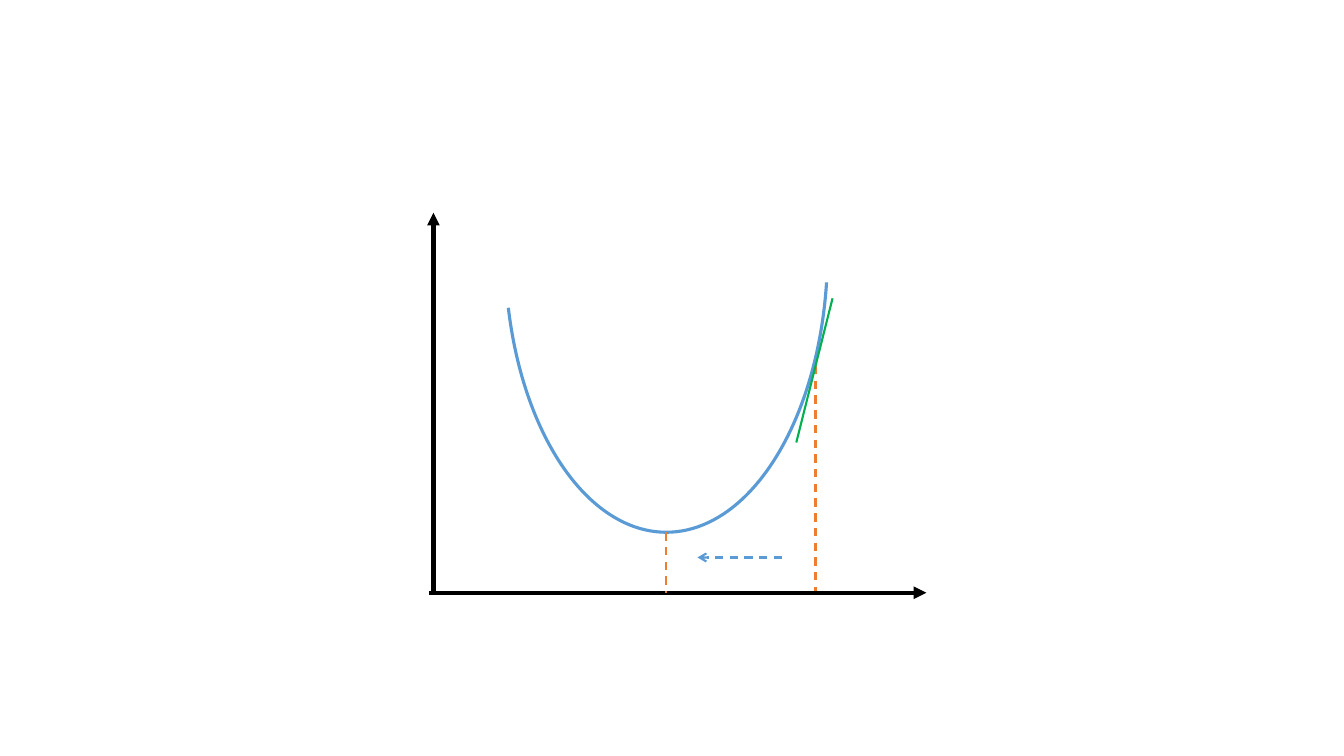
from lxml import etree
from pptx import Presentation
from pptx.dml.color import RGBColor
from pptx.enum.dml import MSO_LINE
from pptx.enum.shapes import MSO_CONNECTOR, MSO_SHAPE
from pptx.oxml.ns import qn
from pptx.util import Pt

STRAIGHT = MSO_CONNECTOR.STRAIGHT
ARC = MSO_SHAPE.ARC
DASH = MSO_LINE.DASH

BLACK, BLUE, ORANGE, GREEN = "000000", "5B9BD5", "ED7D31", "00B050"

# Key positions, in points
AXIS_X, AXIS_Y = 309.6, 423.4
MINIMUM_X, MINIMUM_Y = 475.9, 380.2
TANGENT_X, TANGENT_Y = 582.5, 261.4
STEP_Y = 398.2

# The arc is turned a quarter, so its length runs down the slide
CURVE_LENGTH, CURVE_BREADTH = 401.8, 230.4
CURVE_ANGLES = (168.641, 42.143)

# Lines: start, end, colour, width, dashed, arrowhead
BACK_LINES = [
    ((TANGENT_X, TANGENT_Y), (TANGENT_X, AXIS_Y), ORANGE, 1.5, True, None),
    ((AXIS_X, AXIS_Y), (AXIS_X, 151.9), BLACK, 3, False, "triangle"),
    ((306.7, AXIS_Y), (661.7, AXIS_Y), BLACK, 3, False, "triangle"),
]
FRONT_LINES = [
    ((MINIMUM_X, MINIMUM_Y), (MINIMUM_X, AXIS_Y), ORANGE, 1.5, True, None),
    ((594.7, 213.1), (568.8, 316.1), GREEN, 1.5, False, None),
    ((558.7, STEP_Y), (498.2, STEP_Y), BLUE, 1.5, True, "arrow"),
]


def color(hex_string):
    return RGBColor.from_string(hex_string)


def format_line(line, hex_string, width):
    line.color.rgb = color(hex_string)
    line.width = Pt(width)


def add_line(page, start, end, hex_string, width, dashed, arrowhead):
    connector = page.shapes.add_connector(
        STRAIGHT, *(Pt(value) for value in start + end))
    format_line(connector.line, hex_string, width)
    if dashed:
        connector.line.dash_style = DASH
    properties = connector._element.spPr
    if arrowhead:
        outline = properties.find(qn("a:ln"))
        etree.SubElement(outline, qn("a:tailEnd"), type=arrowhead)
    etree.SubElement(properties, qn("a:effectLst"))


def add_curve(page):
    left = MINIMUM_X - CURVE_LENGTH / 2
    top = MINIMUM_Y - (CURVE_LENGTH + CURVE_BREADTH) / 2
    curve = page.shapes.add_shape(
        ARC, Pt(left), Pt(top), Pt(CURVE_LENGTH), Pt(CURVE_BREADTH))
    curve.rotation = 90
    for index, angle in enumerate(CURVE_ANGLES):
        curve.adjustments[index] = angle
    curve.fill.background()
    format_line(curve.line, BLUE, 2.25)
    curve.shadow.inherit = False


def main():
    deck = Presentation()
    deck.slide_width, deck.slide_height = Pt(960), Pt(540)
    page = deck.slides.add_slide(deck.slide_layouts[6])

    # Axes and tangent drop line, then the curve, then its markers
    for line in BACK_LINES:
        add_line(page, *line)
    add_curve(page)
    for line in FRONT_LINES:
        add_line(page, *line)

    deck.save("out.pptx")


if __name__ == "__main__":
    main()
